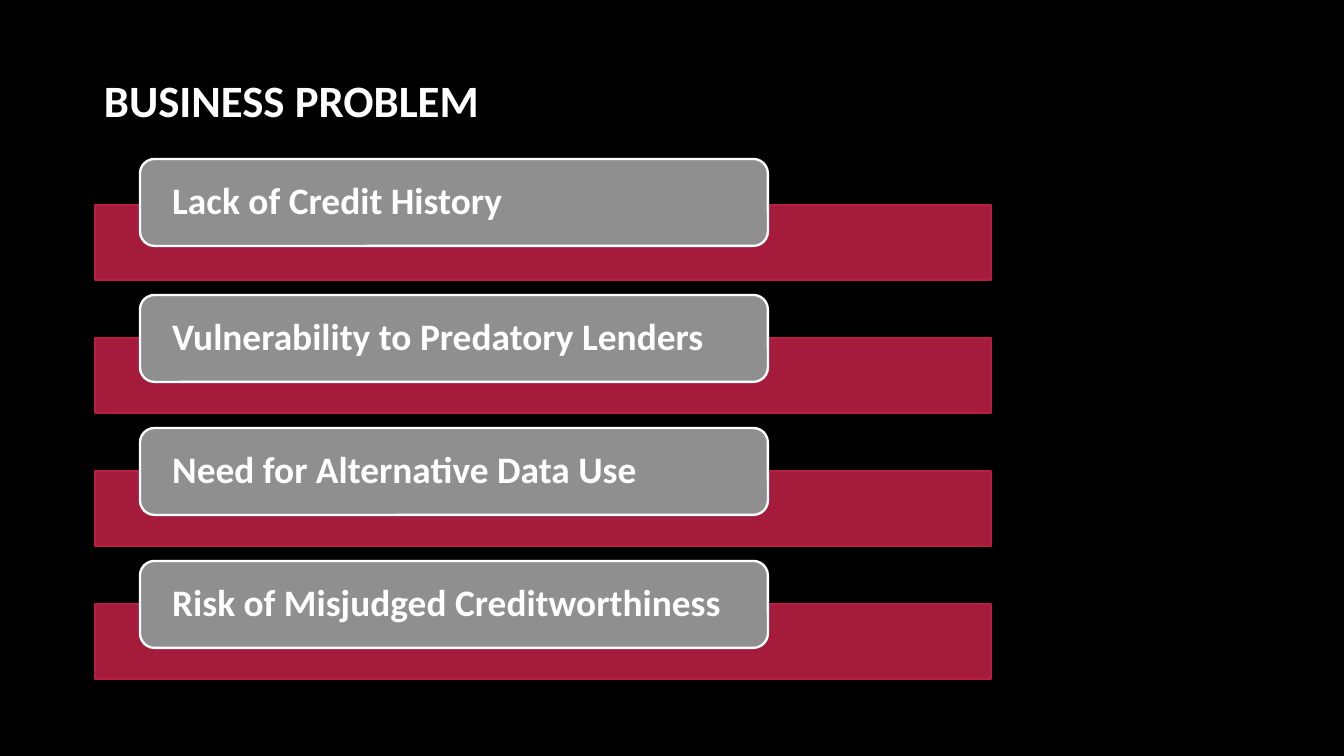
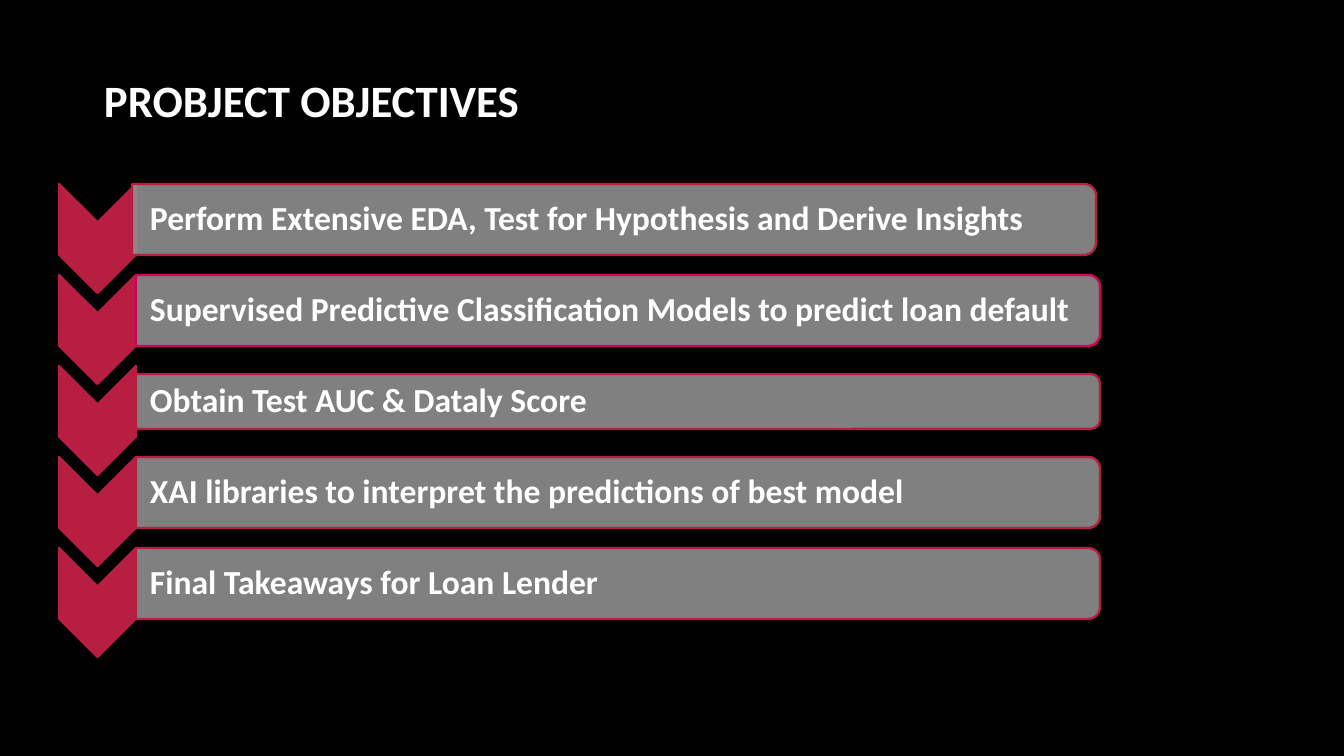
from lxml import etree
from pptx import Presentation
from pptx import util as u
from pptx.dml.color import RGBColor
from pptx.enum import shapes, text
from pptx.oxml.ns import qn

BLACK = RGBColor(0x00, 0x00, 0x00)
WHITE = RGBColor(0xFF, 0xFF, 0xFF)
CRIMSON = RGBColor(0xB7, 0x1E, 0x42)
MAGENTA = RGBColor(0xD5, 0x00, 0x5C)
GRAY = RGBColor(0x8F, 0x8F, 0x8F)

FONT = "Calibri"
PX_PER_INCH = 134.4

PROBLEMS = [
    "Lack of Credit History",
    "Vulnerability to Predatory Lenders",
    "Need for Alternative Data Use",
    "Risk of Misjudged Creditworthiness",
]

OBJECTIVES = [
    ("Perform Extensive EDA, Test for Hypothesis and Derive Insights", 73, 71, CRIMSON),
    ("Supervised Predictive Classification Models to predict loan default", 77, 71, MAGENTA),
    ("Obtain Test AUC & Dataly Score", 77, 55, CRIMSON),
    ("XAI libraries to interpret the predictions of best model", 77, 71, CRIMSON),
    ("Final Takeaways for Loan Lender", 77, 71, CRIMSON),
]


def px(length):
    return u.Emu(round(length * 914400 / PX_PER_INCH))


def add_block(page, kind, box, fill, line, opacity=100, turned=False):
    left, top, width, height = box
    if turned:
        left += (width - height) / 2
        top -= (width - height) / 2
        width, height = height, width
    block = page.shapes.add_shape(kind, px(left), px(top), px(width), px(height))
    block.rotation = 90 if turned else 0
    block.shadow.inherit = False
    block.fill.solid()
    block.fill.fore_color.rgb = fill
    block.line.color.rgb = line
    block.line.width = u.Pt(1.25)
    if opacity < 100:
        color = block.fill._xPr.find(qn("a:solidFill"))[0]
        etree.SubElement(color, qn("a:alpha"), val=str(opacity * 1000))
    return block


def add_textbox(page, box):
    return page.shapes.add_textbox(*map(px, box))


def write(shape, words, size, insets, anchor=text.MSO_ANCHOR.MIDDLE):
    frame = shape.text_frame
    frame.word_wrap = True
    frame.vertical_anchor = anchor
    frame.margin_left, frame.margin_top, frame.margin_right, frame.margin_bottom = map(px, insets)
    para = frame.paragraphs[0]
    para.text = words
    para.alignment = text.PP_ALIGN.LEFT
    para.line_spacing = 0.9
    para.font.name = FONT
    para.font.size = u.Pt(size)
    para.font.bold = True
    para.font.color.rgb = WHITE


def add_page(deck, title):
    page = deck.slides.add_slide(deck.slide_layouts[6])
    page.background.fill.solid()
    page.background.fill.fore_color.rgb = BLACK
    title_box = add_textbox(page, (91, 66, 1253, 85))
    write(title_box, title, 24, (13, 13, 13, 13), text.MSO_ANCHOR.TOP)
    return page


def add_problem_list(page, box):
    left, top, width, height = box
    bar_height, first_bar = 75, 46
    pitch = (height - first_bar - bar_height) / (len(PROBLEMS) - 1)
    for row, problem in enumerate(PROBLEMS):
        bar_top = top + first_bar + row * pitch
        card_top = bar_top - 43 if row else top
        add_block(page, shapes.MSO_SHAPE.RECTANGLE,
                  (left, bar_top, width, bar_height), CRIMSON, CRIMSON, 90)
        card = add_block(page, shapes.MSO_SHAPE.ROUNDED_RECTANGLE,
                         (left + 45, card_top, 628, 87), GRAY, WHITE)
        write(card, problem, 20, (28, 0, 28, 0))


def add_objective_list(page, box):
    left, top, width, height = box
    arrow_width, arrow_height, text_indent = 77, 109, 91
    pitch = (height - arrow_height) / (len(OBJECTIVES) - 1)
    for row, (objective, indent, bar_height, line) in enumerate(OBJECTIVES):
        row_top = top + row * pitch
        bar = (left + indent, row_top + (71 - bar_height) / 2, width - 77, bar_height)
        add_block(page, shapes.MSO_SHAPE.CHEVRON,
                  (left, row_top, arrow_width, arrow_height), CRIMSON, CRIMSON, turned=True)
        add_block(page, shapes.MSO_SHAPE.ROUND_2_SAME_RECTANGLE, bar, GRAY, line, 90, turned=True)
        write(add_textbox(page, bar), objective, 18, (text_indent - indent, 1, 1, 1))


def main():
    deck = Presentation()
    deck.slide_width, deck.slide_height = px(1344), px(756)
    add_problem_list(add_page(deck, "BUSINESS PROBLEM"), (95, 159, 896, 520))
    add_objective_list(add_page(deck, "PROBJECT OBJECTIVES"), (59, 184, 1041, 473))
    deck.save("out.pptx")


if __name__ == "__main__":
    main()
